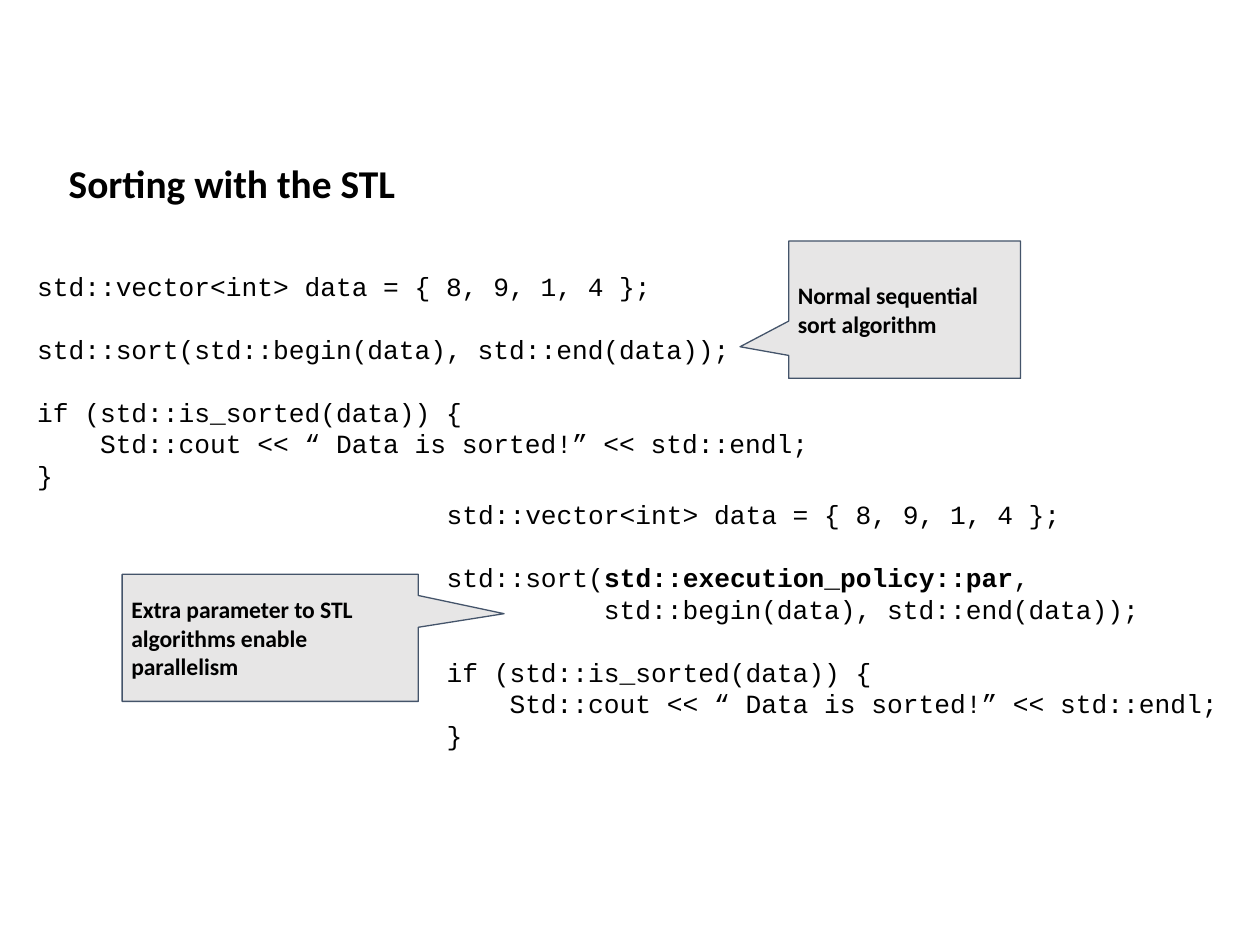
"""Build the slide comparing sequential and parallel STL sorting."""
from pptx import Presentation
from pptx.dml.color import RGBColor
from pptx.enum.shapes import MSO_SHAPE as SHAPE
from pptx.enum.text import MSO_ANCHOR as ANCHOR, PP_ALIGN as ALIGN
from pptx.util import Pt


def color(value):
    return RGBColor.from_string(value)


def add_run(p, text, size, font, bold):
    r = p.add_run()
    r.text = text
    r.font.size = Pt(size)
    r.font.name = font
    r.font.bold = bold
    r.font.color.rgb = color("000000")


INSET = Pt(5.25)
LINE = 18

prs = Presentation()
prs.slide_width, prs.slide_height = Pt(720), Pt(540)
s = prs.slides.add_slide(prs.slide_layouts[6])

title = s.shapes.add_textbox(Pt(34), Pt(85.6), Pt(649.5), Pt(35.5))
tf = title.text_frame
tf.word_wrap = True
tf.margin_left = tf.margin_right = tf.margin_top = tf.margin_bottom = INSET
add_run(tf.paragraphs[0], "Sorting with the STL", 22.5, "Calibri", True)

declare = [("std::vector<int> data = { 8, 9, 1, 4 };", False)]
check = [
    (0, [("if (std::is_sorted(data)) {", False)]),
    (0, [("    Std::cout << “ Data is sorted!” << std::endl;", False)]),
    (0, [("}", False)]),
]
check[0] = (LINE, check[0][1])
sequential = [
    (0, declare),
    (LINE, [("std::sort(std::begin(data), std::end(data));", False)]),
    *check,
]
parallel = [
    (0, declare),
    (LINE, [("std::sort(", False), ("std::execution_policy::par", True), (",", False)]),
    (0, [("          std::begin(data), std::end(data));", False)]),
    *check,
]

for left, top, lines in [(16, 149, sequential), (250, 279.6, parallel)]:
    box = s.shapes.add_textbox(Pt(left), Pt(top), Pt(458.6), Pt(144))
    tf = box.text_frame
    tf.word_wrap = True
    tf.margin_left = tf.margin_right = tf.margin_top = tf.margin_bottom = INSET
    for i, (gap, runs) in enumerate(lines):
        p = tf.add_paragraph() if i else tf.paragraphs[0]
        p.line_spacing = Pt(LINE)
        if gap:
            p.space_before = Pt(gap)
        for text, bold in runs:
            add_run(p, text, 15, "Courier New", bold)

callouts = [
    (69.8, 328.2, 169.2, 72.6, (0.79, -0.19),
     "Extra parameter to STL algorithms enable parallelism"),
    (450.7, 137.7, 132.5, 78.5, (-0.71, 0.27),
     "Normal sequential sort algorithm"),
]
for left, top, width, height, tip, text in callouts:
    sp = s.shapes.add_shape(SHAPE.RECTANGULAR_CALLOUT, Pt(left), Pt(top), Pt(width), Pt(height))
    sp.adjustments[0], sp.adjustments[1] = tip
    sp.shadow.inherit = False
    sp.fill.solid()
    sp.fill.fore_color.rgb = color("E7E6E6")
    sp.line.color.rgb = color("44546A")
    sp.line.width = Pt(0.75)
    tf = sp.text_frame
    tf.word_wrap = True
    tf.vertical_anchor = ANCHOR.MIDDLE
    tf.margin_left = tf.margin_right = tf.margin_top = tf.margin_bottom = INSET
    p = tf.paragraphs[0]
    p.alignment = ALIGN.LEFT
    add_run(p, text, 13.5, "Calibri", True)

prs.save("out.pptx")
